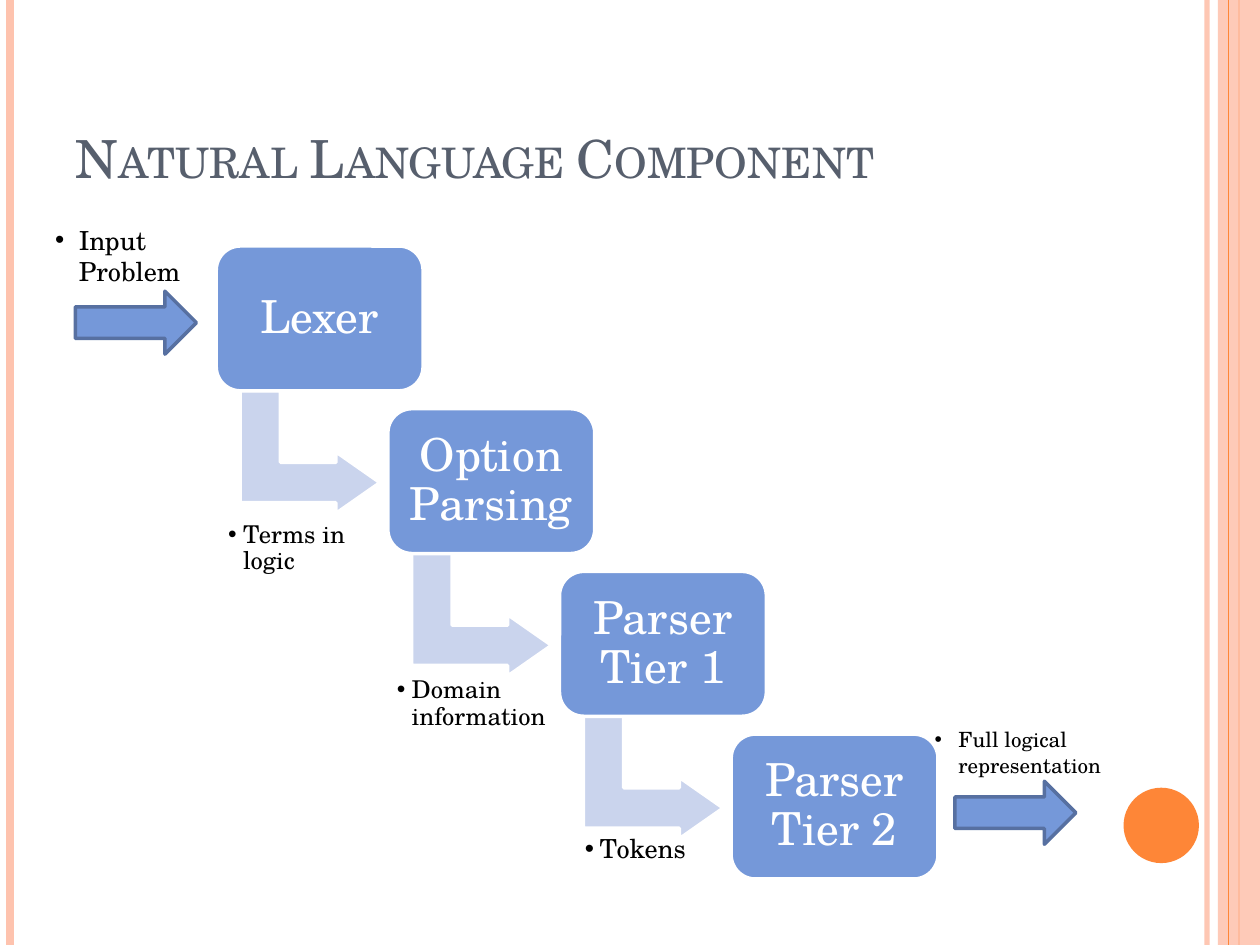
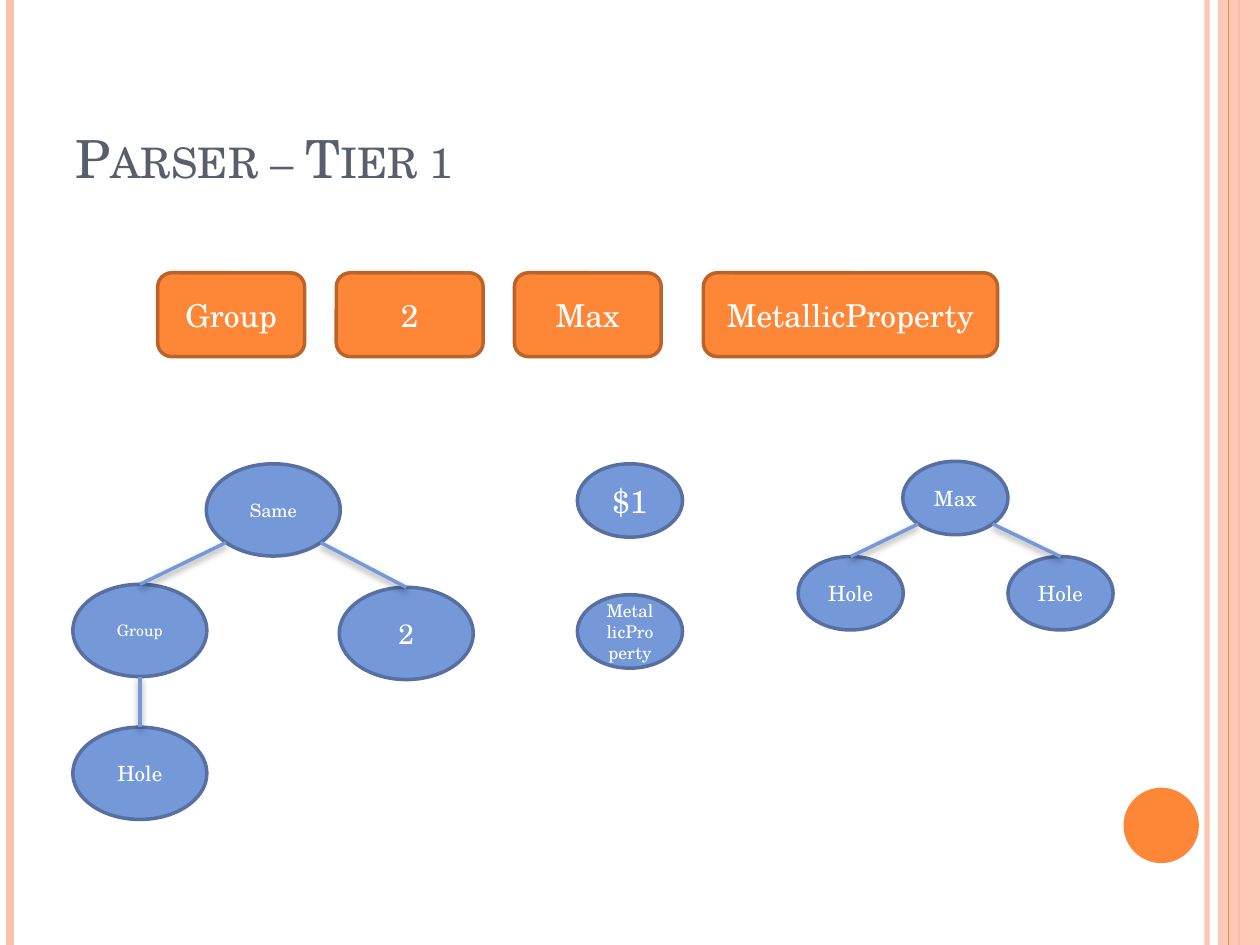
from dataclasses import dataclass

from pptx import Presentation
from pptx.dml.color import RGBColor as RGB
from pptx.enum.shapes import MSO_CONNECTOR as CXN, MSO_SHAPE as SHAPE
from pptx.enum.text import MSO_ANCHOR as ANCHOR, MSO_AUTO_SIZE as AUTO, PP_ALIGN as ALIGN
from pptx.oxml import parse_xml
from pptx.oxml.ns import nsdecls, qn
from pptx.util import Cm, Pt


@dataclass(frozen=True)
class Theme:
    font: str = "TeX Gyre Schola"
    white: RGB = RGB(0xFF, 0xFF, 0xFF)
    black: RGB = RGB(0, 0, 0)
    title: RGB = RGB(0x57, 0x5F, 0x6D)
    orange: RGB = RGB(0xFE, 0x86, 0x37)
    orange_edge: RGB = RGB(0xBC, 0x63, 0x29)
    peach: RGB = RGB(0xFE, 0xC3, 0xAE)
    blue: RGB = RGB(0x75, 0x98, 0xD9)
    blue_edge: RGB = RGB(0x57, 0x70, 0xA1)
    blue_pale: RGB = RGB(0xCA, 0xD4, 0xED)
    title_size: float = 30
    step_size: float = 26
    token_size: float = 18
    edge_width: float = 2


T = Theme()


def add_filled(shapes, kind, box, fill, edge=None):
    """Add a preset shape; box is left, top, width, height in cm."""
    sp = shapes.add_shape(kind, *(Cm(v) for v in box))
    sp.shadow.inherit = False
    sp.fill.solid()
    sp.fill.fore_color.rgb = fill
    if edge is None:
        sp.line.fill.background()
    else:
        sp.line.color.rgb = edge
        sp.line.width = Pt(T.edge_width)
    return sp


def write(sp, text, size, color=T.white, align=ALIGN.CENTER, anchor=ANCHOR.MIDDLE):
    """Set one styled paragraph and return it."""
    tf = sp.text_frame
    tf.text = text
    tf.word_wrap = True
    tf.vertical_anchor = anchor
    p = tf.paragraphs[0]
    p.alignment = align
    font = p.runs[0].font
    font.name, font.size, font.color.rgb = T.font, Pt(size), color
    return p


prs = Presentation()
prs.slide_width, prs.slide_height = Cm(25.4), Cm(19.05)
layout = prs.slide_layouts[5]
for ph in list(layout.placeholders)[1:]:
    ph.element.getparent().remove(ph.element)

# Titles
slides = []
for title in ("Natural Language Component", "Parser – Tier 1"):
    s = prs.slides.add_slide(layout)
    sp = s.shapes.title
    sp.left, sp.top, sp.width, sp.height = Cm(1.27), Cm(0.76), Cm(20.75), Cm(3.18)
    p = write(sp, title, T.title_size, T.title, ALIGN.LEFT, ANCHOR.BOTTOM)
    p.runs[0].font._element.set("cap", "small")
    sp.text_frame.auto_size = AUTO.NONE
    slides.append(s)
pipeline, tier1 = slides

# Side bands and dot, moved to the layout so that both slides share them
shapes = pipeline.shapes
rules = []
for x, color, width in ((24.33, T.peach, 3), (0.21, T.peach, 4.5),
                        (24.98, T.orange, 1.5), (24.77, T.orange, 0.75)):
    rule = shapes.add_connector(CXN.STRAIGHT, Cm(x), 0, Cm(x), prs.slide_height)
    rule.line.color.rgb = color
    rule.line.width = Pt(width)
    rule.element.spPr.append(parse_xml(f'<a:effectLst {nsdecls("a")}/>'))
    rules.append(rule)
band = add_filled(shapes, SHAPE.RECTANGLE, (24.55, 0, 0.85, 19.05), T.peach)
dot = add_filled(shapes, SHAPE.OVAL, (22.65, 15.88, 1.52, 1.52), T.orange)
for sp, opacity in ((rules[0], 93), (band, 87)):
    clr = next(sp.element.iter(qn("a:srgbClr")))
    clr.append(parse_xml(f'<a:alpha {nsdecls("a")} val="{opacity * 1000}"/>'))
for sp in (*rules[:3], band, rules[3], dot):
    layout.shapes.element.append(sp.element)

# Slide 1: staircase of steps
steps = ("Lexer", "Option Parsing", "Parser Tier 1", "Parser Tier 2")
for i, step in enumerate(steps):
    x, y = 4.36 + 3.46 * i, 4.96 + 3.28 * i
    if i < len(steps) - 1:
        bend = add_filled(shapes, SHAPE.BENT_UP_ARROW, (x + 0.65, y + 2.74, 2.48, 2.82),
                          T.blue_pale, T.white)
        bend.rotation = 90
        for k, value in enumerate((0.328, 0.25, 0.358)):
            bend.adjustments[k] = value
    sp = add_filled(shapes, SHAPE.ROUNDED_RECTANGLE, (x, y, 4.17, 2.92), T.blue, T.white)
    write(sp, step, T.step_size).line_spacing = 0.9
    tf = sp.text_frame
    tf.margin_left = tf.margin_right = tf.margin_top = tf.margin_bottom = Cm(0.28)

for x, y in ((1.52, 5.87), (19.25, 15.75)):
    add_filled(shapes, SHAPE.RIGHT_ARROW, (x, y, 2.44, 1.27), T.blue, T.blue_edge)

labels = (  # text, box, size, between two steps
    ("Terms in logic", (4.42, 10.26, 3.02, 1.6), 14, True),
    ("Domain information", (7.82, 13.34, 3.53, 1.7), 14, True),
    ("Tokens", (11.61, 16.48, 2.49, 1.3), 15, True),
    ("Full logical representation", (18.59, 14.53, 3.86, 1.27), 12, False),
    ("Input Problem", (0.86, 4.39, 3.86, 1.55), 15, False),
)
for text, box, size, between in labels:
    sp = shapes.add_textbox(*(Cm(v) for v in box))
    anchor = ANCHOR.MIDDLE if between else ANCHOR.TOP
    p = write(sp, text, size, T.black, ALIGN.LEFT, anchor)
    if between:
        p.line_spacing = 0.9
        tf = sp.text_frame
        tf.margin_left = tf.margin_right = tf.margin_top = tf.margin_bottom = Cm(0.18)
    indent = Cm(0.3 if between else 0.48)
    pPr = p._p.get_or_add_pPr()
    pPr.set("marL", str(indent))
    pPr.set("indent", str(-indent))
    pPr.append(parse_xml(f'<a:buFont {nsdecls("a")} typeface="Arial"/>'))
    pPr.append(parse_xml(f'<a:buChar {nsdecls("a")} char="•"/>'))

# Slide 2: tokens
for text, x, width in (("Group", 3.18, 2.96), ("2", 6.78, 2.96),
                       ("Max", 10.37, 2.96), ("MetallicProperty", 14.18, 5.93)):
    sp = add_filled(tier1.shapes, SHAPE.ROUNDED_RECTANGLE, (x, 5.5, width, 1.69),
                    T.orange, T.orange_edge)
    write(sp, text, T.token_size)

# Slide 2: trees; a node is text, left, top, size, index of its parent
trees = (
    ((2.7, 1.86), (("Same", 4.16, 9.35, 10.5, None), ("Group", 1.47, 11.78, 9, 0),
                   ("2", 6.84, 11.84, 16, 0), ("Hole", 1.47, 14.66, 12, 1))),
    ((2.12, 1.48), (("$1", 11.64, 9.35, 18, None),)),
    ((2.12, 1.48), (("Max", 18.2, 9.3, 12, None), ("Hole", 16.09, 11.22, 12, 0),
                    ("Hole", 20.32, 11.22, 12, 0))),
    ((2.12, 1.48), (("MetallicProperty", 11.64, 11.99, 10, None),)),
)
DIAGONAL = 0.354  # offset of an ellipse's 45° point, as a share of its size
for (w, h), nodes in trees:
    parts = tier1.shapes.add_group_shape().shapes if len(nodes) > 1 else tier1.shapes
    ovals = []
    for text, x, y, size, _ in nodes:
        oval = add_filled(parts, SHAPE.OVAL, (x, y, w, h), T.blue, T.blue_edge)
        write(oval, text, size)
        ovals.append(oval)
    for oval, (_, x, y, _, parent) in zip(ovals, nodes):
        if parent is None:
            continue
        _, px, py, _, _ = nodes[parent]
        side = (x > px) - (x < px)
        x1 = px + w / 2 + side * DIAGONAL * w
        y1 = py + h / 2 + (DIAGONAL if side else 0.5) * h
        edge = parts.add_connector(CXN.STRAIGHT, Cm(x1), Cm(y1), Cm(x + w / 2), Cm(y))
        edge.end_connect(oval, 0)
        edge.line.color.rgb = T.blue
        edge.line.width = Pt(T.edge_width)
        edge.element.spPr.append(parse_xml(
            f'<a:effectLst {nsdecls("a")}>'
            f'<a:outerShdw blurRad="{Pt(4)}" dist="{Pt(2)}" dir="5400000" rotWithShape="0">'
            '<a:srgbClr val="000000"><a:alpha val="40000"/></a:srgbClr>'
            '</a:outerShdw></a:effectLst>'))

prs.save("out.pptx")
